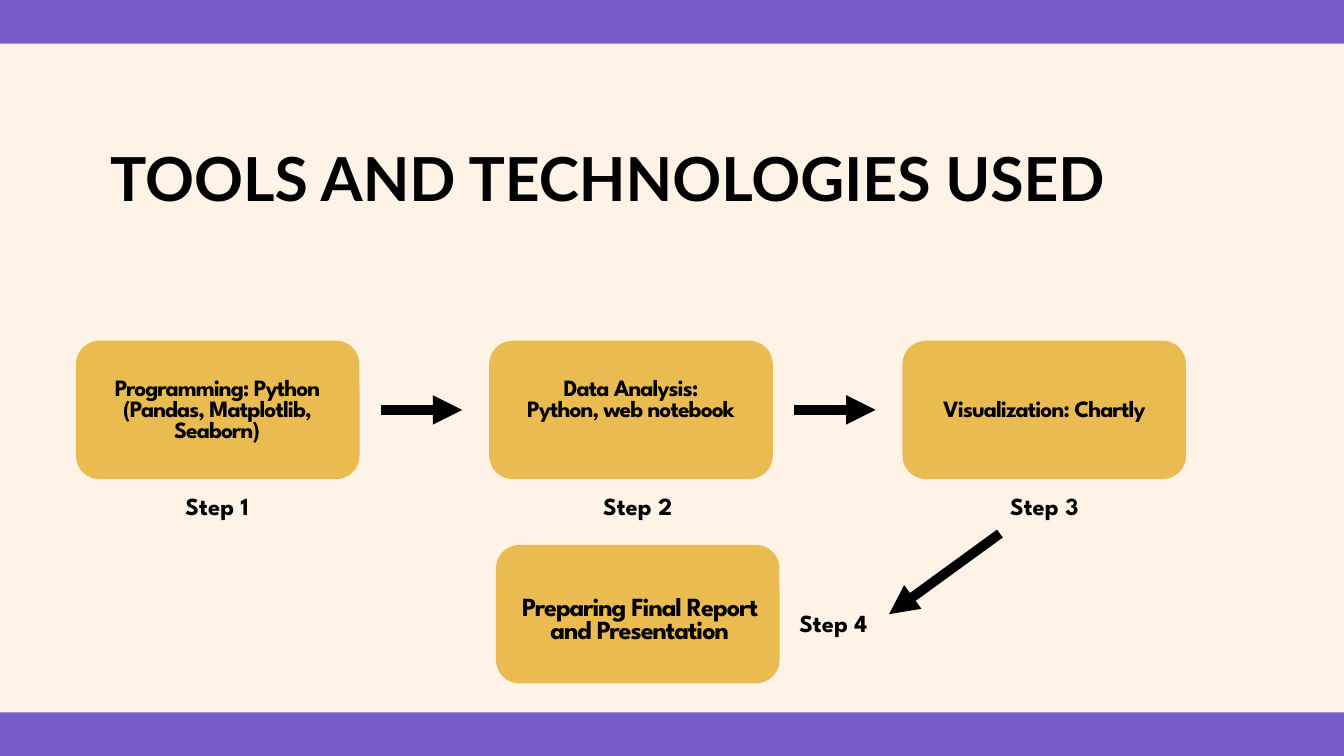
from dataclasses import dataclass

from lxml import etree
from pptx import Presentation
from pptx.dml.color import RGBColor
from pptx.enum.shapes import MSO_CONNECTOR, MSO_SHAPE
from pptx.enum.text import MSO_ANCHOR, MSO_AUTO_SIZE, PP_ALIGN
from pptx.oxml.ns import qn
from pptx.slide import Slide
from pptx.util import Emu, Pt

RECTANGLE = MSO_SHAPE.RECTANGLE
ROUNDED = MSO_SHAPE.ROUNDED_RECTANGLE
STRAIGHT = MSO_CONNECTOR.STRAIGHT
LEFT = PP_ALIGN.LEFT
CENTER = PP_ALIGN.CENTER
TOP = MSO_ANCHOR.TOP
FIT_SHAPE = MSO_AUTO_SIZE.SHAPE_TO_FIT_TEXT

PX = 9144
PAGE_WIDTH, PAGE_HEIGHT = 2000, 1125
BAND_HEIGHT = 65
CARD_WIDTH, CARD_HEIGHT = 422, 206
CARD_ROUNDING = 0.17
ROW_TOP = 507
ROW_LEFTS = [113 + 615 * column for column in range(3)]
ARROW_Y = ROW_TOP + CARD_HEIGHT // 2

BLACK = "000000"
CREAM = "FFF3E8"
PURPLE = "765DC7"
GOLD = "E9BB51"


@dataclass(frozen=True)
class Area:
    left: int
    top: int
    width: int
    height: int


@dataclass(frozen=True)
class TextStyle:
    font: str
    size: float
    leading: float
    align: PP_ALIGN = CENTER
    tracking: int = 0


@dataclass(frozen=True)
class Label:
    area: Area
    lines: tuple[str, ...]
    style: TextStyle


@dataclass(frozen=True)
class Arrow:
    start: tuple[int, int]
    end: tuple[int, int]


TITLE = TextStyle("Lato", 65, 65, LEFT)
STEP = TextStyle("League Spartan", 26.3, 44.7)
TOOL = TextStyle("League Spartan", 25, 22.5, tracking=-100)
REPORT = TextStyle("League Spartan", 28, 25.2, tracking=-110)

HEADING = Label(Area(164, 228, 1569, 95), ("TOOLS AND TECHNOLOGIES USED",), TITLE)
BANDS = [Area(0, top, PAGE_WIDTH, BAND_HEIGHT) for top in (0, PAGE_HEIGHT - BAND_HEIGHT)]
CARDS = [
    Area(left, top, CARD_WIDTH, CARD_HEIGHT)
    for left, top in [*((left, ROW_TOP) for left in ROW_LEFTS), (738, 811)]
]
STEP_CORNERS = [(112, 712), (738, 712), (1343, 712), (1029, 887)]
LABELS = [
    Label(Area(138, 566, 370, 94), ("Programming: Python (Pandas, Matplotlib, Seaborn)",), TOOL),
    Label(Area(754, 566, 370, 94), ("Data Analysis:", "Python, web notebook"), TOOL),
    Label(Area(1369, 597, 370, 33), ("Visualization: Chartly",), TOOL),
    Label(Area(754, 890, 396, 72), ("Preparing Final Report and Presentation",), REPORT),
    *(
        Label(Area(left, top, CARD_WIDTH, 57), (f"Step {number}",), STEP)
        for number, (left, top) in enumerate(STEP_CORNERS, 1)
    ),
]
ARROWS = [
    *(Arrow((left + 454, ARROW_Y), (left + 575, ARROW_Y)) for left in ROW_LEFTS[:2]),
    Arrow((1488, 794), (1323, 914)),
]


def px(length: int) -> Emu:
    return Emu(length * PX)


def color(value: str) -> RGBColor:
    return RGBColor.from_string(value)


def set_values(target: object, values: dict) -> None:
    for name, value in values.items():
        setattr(target, name, value)


def frame(area: Area) -> tuple[Emu, ...]:
    return tuple(px(side) for side in (area.left, area.top, area.width, area.height))


def add_block(page: Slide, preset: MSO_SHAPE, area: Area, fill: str) -> None:
    block = page.shapes.add_shape(preset, *frame(area))
    block.shadow.inherit = False
    block.fill.solid()
    block.fill.fore_color.rgb = color(fill)
    block.line.fill.background()
    if preset == ROUNDED:
        block.adjustments[0] = CARD_ROUNDING


def add_arrow(page: Slide, arrow: Arrow) -> None:
    ends = (px(value) for value in (*arrow.start, *arrow.end))
    connector = page.shapes.add_connector(STRAIGHT, *ends)
    connector.line.width = Pt(10.5)
    connector.line.color.rgb = color(BLACK)
    etree.SubElement(connector.line._get_or_add_ln(), qn("a:tailEnd"), type="triangle")
    etree.SubElement(connector._element.spPr, qn("a:effectLst"))


def write_label(box, label: Label) -> None:
    style = label.style
    set_values(box.text_frame, {
        "margin_left": 0,
        "margin_top": 0,
        "margin_right": 0,
        "margin_bottom": 0,
        "word_wrap": True,
        "auto_size": FIT_SHAPE,
        "vertical_anchor": TOP,
    })
    box.text_frame.text = "\n".join(label.lines)
    for para in box.text_frame.paragraphs:
        set_values(para, {
            "alignment": style.align,
            "line_spacing": Pt(style.leading),
            "space_before": Pt(0),
        })
        for span in para.runs:
            set_values(span.font, {"name": style.font, "size": Pt(style.size), "bold": True})
            span.font.color.rgb = color(BLACK)
            if style.tracking:
                span._r.get_or_add_rPr().set("spc", str(style.tracking))


def add_title(page: Slide, label: Label) -> None:
    title = page.shapes.title
    set_values(title, dict(zip(("left", "top", "width", "height"), frame(label.area))))
    write_label(title, label)


def main() -> None:
    deck = Presentation()
    set_values(deck, {"slide_width": px(PAGE_WIDTH), "slide_height": px(PAGE_HEIGHT)})
    page = deck.slides.add_slide(deck.slide_layouts.get_by_name("Title Only"))
    page.background.fill.solid()
    page.background.fill.fore_color.rgb = color(CREAM)
    add_title(page, HEADING)
    for band in BANDS:
        add_block(page, RECTANGLE, band, PURPLE)
    for card in CARDS:
        add_block(page, ROUNDED, card, GOLD)
    for arrow in ARROWS:
        add_arrow(page, arrow)
    for label in LABELS:
        write_label(page.shapes.add_textbox(*frame(label.area)), label)
    deck.save("out.pptx")


if __name__ == "__main__":
    main()
